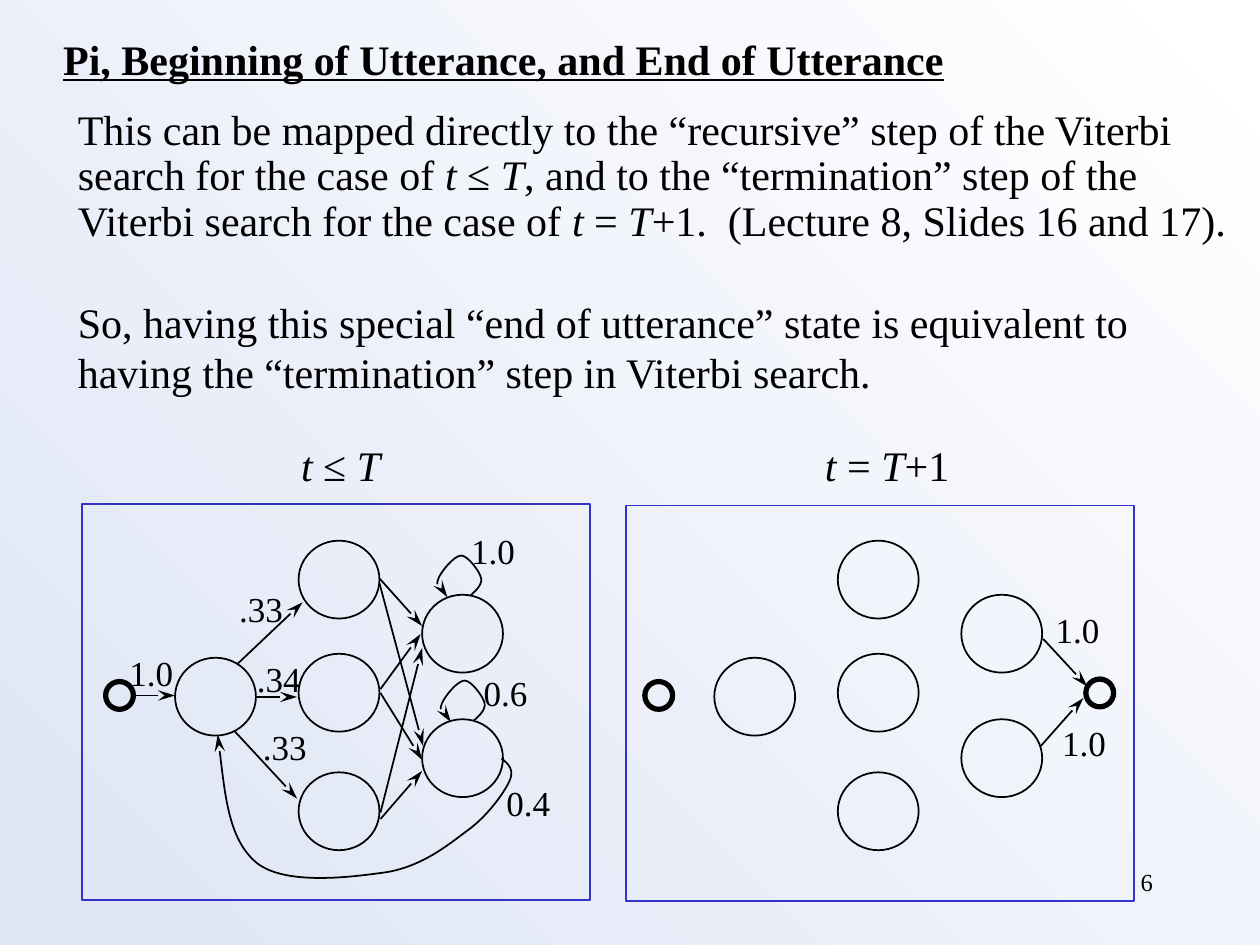
"""Builds the slide on Viterbi termination with its two state diagrams."""
from dataclasses import dataclass

from lxml import etree
from pptx import Presentation
from pptx import util as u
from pptx.dml import color
from pptx.enum import shapes, text
from pptx.oxml import ns

FONT = "Times New Roman"
BLACK, BLUE = "000000", "3333CC"
PANEL_SHIFT = 10.87
COL_X, COL_STEP = 3.53, 2.49
COL_TOPS = [[13.26], [10.9, 13.18, 15.57], [11.99, 14.5]]
LOOP = [(.69, .81), (.74, .76), (.94, .61), (.91, .46), (.89, .33), (.64, 0), (.51, 0),
        (.36, 0), (.1, .33), (.05, .46), (0, .61), (.1, .71), (.23, .84)]
LOOP_ORIGINS = [(8.79, 11.2), (8.86, 13.72)]
RETURN_ARC = [(10.11, 15.29), (10.24, 15.39), (10.39, 15.52), (10.26, 15.77),
              (10.13, 16.03), (9.8, 16.48), (9.4, 16.76), (8.99, 17.07),
              (8.51, 17.45), (7.82, 17.58), (7.11, 17.68), (5.77, 17.86),
              (5.18, 17.4), (4.62, 16.94), (4.52, 15.88), (4.39, 14.81)]


@dataclass
class Outline:
    x: float
    y: float
    w: float
    h: float
    kind: shapes.MSO_SHAPE = shapes.MSO_SHAPE.OVAL
    line: str = BLACK
    weight: float = 1


@dataclass
class Arrow:
    x1: float
    y1: float
    x2: float
    y2: float


@dataclass
class Label:
    words: str
    x: float
    y: float


ARROWS = [
    Arrow(2.69, 14.02, 3.53, 14.02),
    Arrow(4.78, 13.39, 6.1, 12.14),
    Arrow(5.16, 14.05, 5.99, 14.05),
    Arrow(4.72, 14.73, 5.99, 16.1),
    Arrow(7.65, 11.66, 8.51, 12.62),
    Arrow(7.65, 11.76, 8.53, 15.04),
    Arrow(7.67, 13.89, 8.48, 12.78),
    Arrow(7.67, 13.97, 8.51, 15.32),
    Arrow(7.67, 16.38, 8.51, 13.06),
    Arrow(7.67, 16.51, 8.51, 15.54),
    Arrow(21.03, 12.88, 21.92, 13.84),
    Arrow(20.98, 15.04, 21.84, 14.07),
]
LABELS = [
    Label("1.0", 2.36, 13), Label(".33", 4.57, 11.71), Label(".34", 4.93, 13.13),
    Label(".33", 5.05, 14.5), Label("1.0", 9.25, 10.54), Label("0.6", 9.5, 13.41),
    Label("0.4", 9.96, 15.62), Label("1.0", 21.03, 12.14), Label("1.0", 21.16, 14.43),
]


def rgb(value: str) -> color.RGBColor:
    """Turn a hex string into a colour."""
    return color.RGBColor.from_string(value)


def put(obj, **values) -> None:
    """Set several attributes on an object."""
    for name, value in values.items():
        setattr(obj, name, value)


def place(sp, x: float, y: float, w: float, h: float) -> None:
    """Position a shape in centimetres."""
    put(sp, left=u.Cm(x), top=u.Cm(y), width=u.Cm(w), height=u.Cm(h))


def write(p, words: str, size: float, **extra) -> None:
    """Add runs to a paragraph, with underscores marking italic spans."""
    for i, part in enumerate(words.split("_")):
        if part:
            r = p.add_run()
            r.text = part
            put(r.font, name=FONT, size=u.Pt(size), italic=i % 2 == 1, **extra)
            r.font.color.rgb = rgb(BLACK)


def add_text(s, words: str, x: float, y: float, w: float, h: float, size: float,
             wrap: bool = False):
    """Add a text box with one paragraph and return its frame."""
    tf = s.shapes.add_textbox(u.Cm(x), u.Cm(y), u.Cm(w), u.Cm(h)).text_frame
    tf.word_wrap = wrap
    write(tf.paragraphs[0], words, size)
    return tf


def set_line(line, value: str, weight: float) -> None:
    """Apply a line colour and width."""
    line.color.rgb = rgb(value)
    line.width = u.Pt(weight)


def add_head(line_xml) -> None:
    """Put a long stealth arrowhead at the end of a line."""
    etree.SubElement(line_xml, ns.qn("a:tailEnd"), type="stealth", w="med", len="lg")


def draw_outline(s, o: Outline) -> None:
    """Draw an unfilled preset shape."""
    sp = s.shapes.add_shape(o.kind, u.Cm(o.x), u.Cm(o.y), u.Cm(o.w), u.Cm(o.h))
    sp.shadow.inherit = False
    sp.fill.background()
    set_line(sp.line, o.line, o.weight)


def draw_arrow(s, a: Arrow) -> None:
    """Draw a straight arrow."""
    c = s.shapes.add_connector(shapes.MSO_CONNECTOR.STRAIGHT, u.Cm(a.x1), u.Cm(a.y1),
                               u.Cm(a.x2), u.Cm(a.y2))
    set_line(c.line, BLACK, 1)
    pr = c.line._get_or_add_ln()
    add_head(pr)
    etree.SubElement(pr.getparent(), ns.qn("a:effectLst"))


def draw_curve(s, points: list[tuple[float, float]]) -> None:
    """Draw a curved arrow through a start point and Bezier triples."""
    pts = [(u.Cm(x), u.Cm(y)) for x, y in points]
    fb = s.shapes.build_freeform(*pts[0])
    fb.add_line_segments(pts[1:], close=False)
    sp = fb.convert_to_shape()
    sp.shadow.inherit = False
    sp.fill.background()
    set_line(sp.line, BLACK, 1)
    add_head(sp.line._get_or_add_ln())
    steps = list(sp._element.iter(ns.qn("a:lnTo")))
    for i in range(0, len(steps), 3):
        curve = etree.SubElement(steps[i].getparent(), ns.qn("a:cubicBezTo"))
        for step in steps[i:i + 3]:
            curve.append(step[0])
            step.getparent().remove(step)


def add_title(s) -> None:
    """Fill and format the title placeholder."""
    sp = s.shapes.title
    place(sp, 1.02, .55, 19, 1.27)
    tf = sp.text_frame
    put(tf, word_wrap=True, auto_size=text.MSO_AUTO_SIZE.NONE,
        vertical_anchor=text.MSO_ANCHOR.TOP)
    p = tf.paragraphs[0]
    p.alignment = text.PP_ALIGN.LEFT
    write(p, "Pi, Beginning of Utterance, and End of Utterance", 24, bold=True,
          underline=True)


def add_body(s) -> None:
    """Add the explanation, the panel captions and the slide number."""
    tf = add_text(s, "This can be mapped directly to the “recursive” step of the Viterbi "
                  "search for the case of _t_ ≤ _T_, and to the “termination” step of the "
                  "Viterbi search for the case of _t _= _T_+1.  (Lecture 8, Slides 16 "
                  "and 17).", 1.32, 2.08, 24.08, 6.05, 24, True)
    tf.paragraphs[0].line_spacing = .9
    p = tf.add_paragraph()
    p.space_before = u.Pt(29)
    write(p, "So, having this special “end of utterance” state is equivalent to having "
          "the “termination” step in Viterbi search.", 24)
    add_text(s, "_t _≤ _T_", 5.82, 8.74, 2.87, 1.27, 24, True)
    add_text(s, "_t_ = _T_+1", 16.38, 8.74, 3.02, 1.27, 24)
    tf = add_text(s, "6", 18.21, 17.35, 5.28, 1.27, 14, True)
    tf.paragraphs[0].alignment = text.PP_ALIGN.RIGHT


def draw_panel(s, shift: float, frame: Outline) -> None:
    """Draw a frame with its start marker and six states."""
    draw_outline(s, frame)
    draw_outline(s, Outline(2.13 + shift, 13.74, .56, .56, weight=3))
    for col, tops in enumerate(COL_TOPS):
        for top in tops:
            draw_outline(s, Outline(COL_X + col * COL_STEP + shift, top, 1.63, 1.57))


def main() -> None:
    """Build and save the slide."""
    prs = Presentation()
    put(prs, slide_width=u.Cm(25.4), slide_height=u.Cm(19.05))
    s = prs.slides.add_slide(prs.slide_layouts[5])
    fill = s.background.fill
    fill.gradient()
    fill.gradient_angle = 225
    for stop, value in zip(fill.gradient_stops, ("FFFFFF", "DFE5F5")):
        stop.color.rgb = rgb(value)
    add_title(s)
    add_body(s)
    rect = shapes.MSO_SHAPE.RECTANGLE
    draw_panel(s, 0, Outline(1.65, 10.16, 10.24, 7.98, rect, BLUE))
    draw_panel(s, PANEL_SHIFT, Outline(12.62, 10.19, 10.24, 7.98, rect, BLUE))
    draw_outline(s, Outline(21.89, 13.69, .56, .56, weight=3))
    for a in ARROWS:
        draw_arrow(s, a)
    for x, y in LOOP_ORIGINS:
        draw_curve(s, [(x + dx, y + dy) for dx, dy in LOOP])
    draw_curve(s, RETURN_ARC)
    for lb in LABELS:
        add_text(s, lb.words, lb.x, lb.y, 1.4, 1.12, 20)
    prs.save("out.pptx")


if __name__ == "__main__":
    main()
